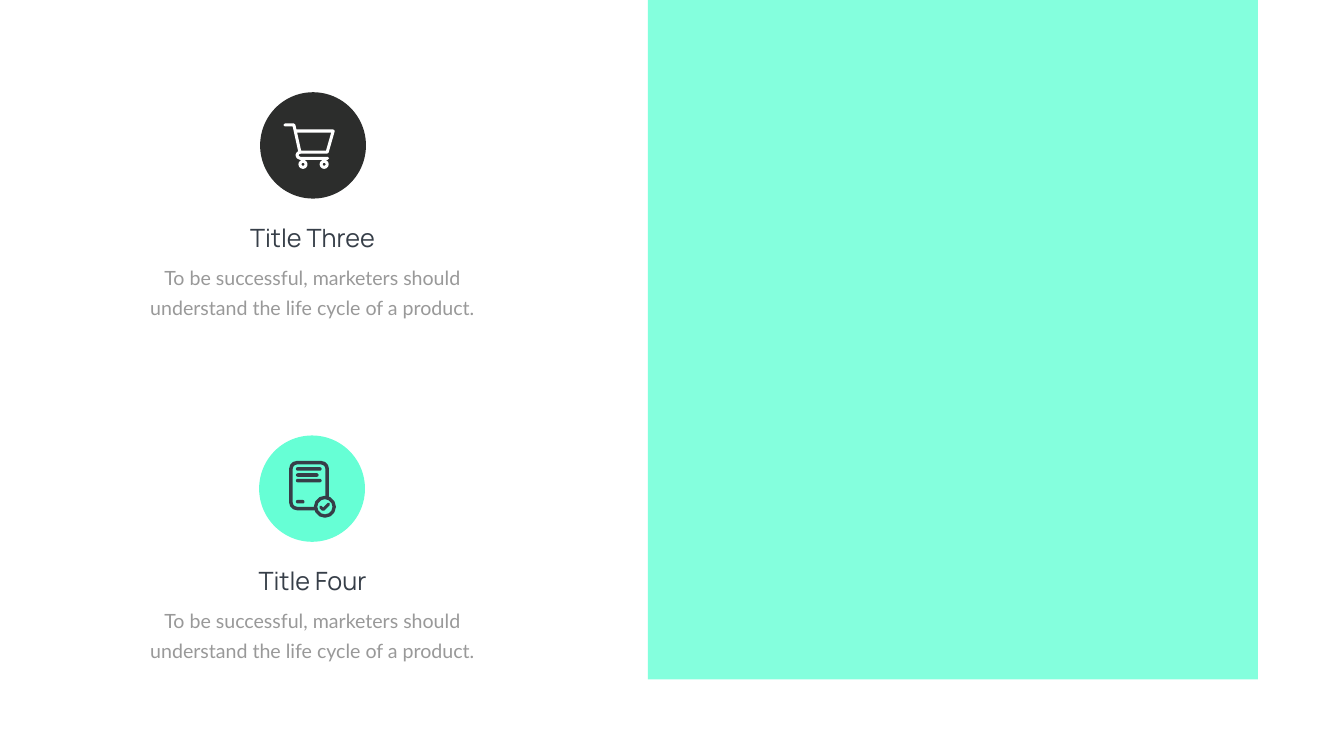
"""Build a slide with two captioned icons beside a tall mint panel."""
import pptx
import pptx.dml.color
import pptx.enum.shapes
import pptx.enum.text
import pptx.oxml
import pptx.oxml.ns
import pptx.util
from pptx.util import Inches

DARK, MINT, SLATE, WHITE, GREY = "2C2D2C", "66FFD5", "363E48", "FFFFFF", "999999"
SHAPE = pptx.enum.shapes.MSO_SHAPE
DRAWING = pptx.oxml.ns.nsdecls("a")


def paint(fill, color):
    fill.solid()
    fill.fore_color.rgb = pptx.dml.color.RGBColor.from_string(color)


def write(shapes, text, left, top, width, height, font, size, color, spacing=None):
    box = shapes.add_textbox(Inches(left), Inches(top), Inches(width), Inches(height))
    frame = box.text_frame
    frame.word_wrap = True
    frame.margin_top = frame.margin_bottom = Inches(0.02)
    para = frame.paragraphs[0]
    para.alignment = pptx.enum.text.PP_ALIGN.CENTER
    if spacing:
        para.line_spacing = pptx.util.Pt(spacing)
    span = para.add_run()
    span.text = text
    span.font.name = font
    span.font.size = pptx.util.Pt(size)
    paint(span.font.fill, color)


deck = pptx.Presentation()
deck.slide_width, deck.slide_height = Inches(26.66), Inches(15)
page = deck.slides.add_slide(deck.slide_layouts[6])

lower = page.shapes.add_group_shape().shapes
upper = page.shapes.add_group_shape().shapes

parts = [
    (lower, SHAPE.OVAL, 5.14, 8.64, 2.1, 2.11, MINT, None, 0),
    (lower, SHAPE.ROUNDED_RECTANGLE, 5.77, 9.18, 0.72, 0.91, None, SLATE, 5),
    (lower, SHAPE.OVAL, 6.26, 9.87, 0.37, 0.37, MINT, SLATE, 4.8),
    (upper, SHAPE.OVAL, 5.16, 1.83, 2.1, 2.11, DARK, None, 0),
]
for top, width in ((9.27, 0.51), (9.39, 0.45), (9.5, 0.51), (9.92, 0.17)):
    parts.append((lower, SHAPE.ROUNDED_RECTANGLE, 5.87, top, width, 0.07, SLATE, None, 0))
for left in (5.95, 6.37):
    parts.append((upper, SHAPE.OVAL, left, 3.2, 0.12, 0.12, None, WHITE, 4.3))

for shapes, kind, left, top, width, height, fill, line, weight in parts:
    part = shapes.add_shape(kind, Inches(left), Inches(top), Inches(width), Inches(height))
    part.shadow.inherit = False
    if kind == SHAPE.ROUNDED_RECTANGLE:
        part.adjustments[0] = 0.5 if fill else 0.17
    if fill:
        paint(part.fill, fill)
    else:
        part.fill.background()
    if line:
        paint(part.line.fill, line)
        part.line.width = pptx.util.Pt(weight)
    else:
        part.line.fill.background()

check = [(6.36, 10.06), (6.41, 10.11), (6.52, 10)]
basket = [(5.65, 2.48), (5.83, 2.48), (5.95, 3.02), (6.49, 3.02), (6.61, 2.6), (5.87, 2.6)]
frame_bar = [(5.95, 3.02), (5.91, 3.04), (5.89, 3.08), (5.91, 3.12), (5.95, 3.14), (6.5, 3.14)]
for shapes, points, color in (
    (lower, check, SLATE),
    (upper, basket, WHITE),
    (upper, frame_bar, WHITE),
):
    corners = [(Inches(x), Inches(y)) for x, y in points]
    builder = shapes.build_freeform(*corners[0])
    builder.add_line_segments(corners[1:], close=False)
    stroke = builder.convert_to_shape()
    stroke.shadow.inherit = False
    stroke.fill.background()
    paint(stroke.line.fill, color)
    stroke.line.width = pptx.util.Pt(4.3)
    outline = stroke.element.spPr.find(pptx.oxml.ns.qn("a:ln"))
    outline.set("cap", "rnd")
    outline.append(pptx.oxml.parse_xml(f"<a:round {DRAWING}/>"))

caption = "To be successful, marketers should understand the life cycle of a product."
for shapes, title, top in ((lower, "Title Four", 11.19), (upper, "Title Three", 4.39)):
    write(shapes, title, left=3.76, top=top, width=4.88, height=0.71,
          font="Manrope", size=36, color=SLATE)
    write(shapes, caption, left=2.46, top=top + 0.74, width=7.47, height=1.24,
          font="Lato", size=28, color=GREY, spacing=43)

panel = page.shapes.add_shape(
    SHAPE.RECTANGLE, Inches(12.85), Inches(0), Inches(12.1), Inches(13.48))
panel.shadow.inherit = False
panel.line.fill.background()
paint(panel.fill, MINT)
tint = panel.element.spPr.find(".//" + pptx.oxml.ns.qn("a:srgbClr"))
tint.append(pptx.oxml.parse_xml(f'<a:alpha {DRAWING} val="80000"/>'))

deck.save("out.pptx")
